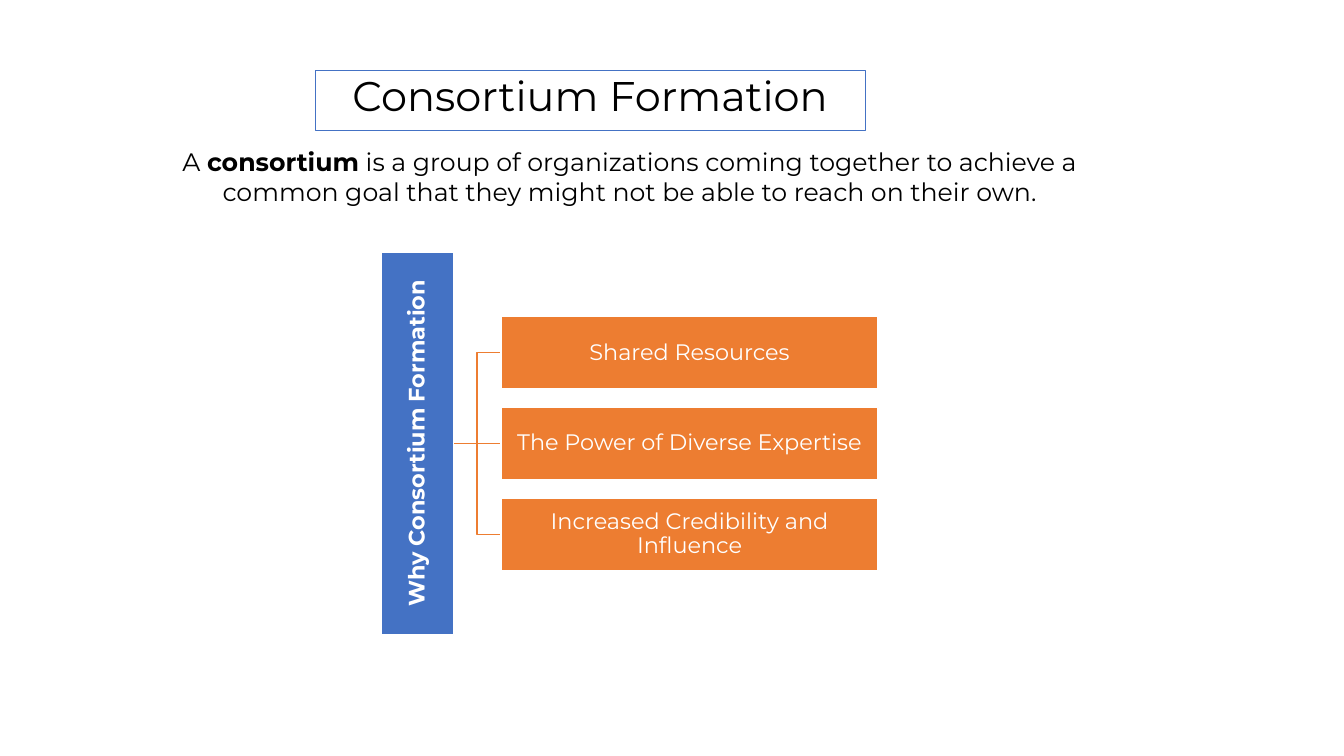
from pptx import Presentation
from pptx.dml.color import RGBColor
from pptx.enum.shapes import MSO_CONNECTOR, MSO_SHAPE
from pptx.enum.text import MSO_ANCHOR, PP_ALIGN
from pptx.oxml.ns import qn
from pptx.util import Pt
from lxml.etree import SubElement

PX = 9144
FONT = "Montserrat"
BLACK, WHITE, BLUE, ORANGE = "000000", "FFFFFF", "4472C4", "ED7D31"


def color(hex):
    return RGBColor.from_string(hex)


def write(shape, text, size=16, ink=WHITE, bold=False, space=None, after=0,
          pad=None, anchor=MSO_ANCHOR.TOP):
    frame = shape.text_frame
    frame.word_wrap = True
    frame.vertical_anchor = anchor
    if pad is not None:
        frame.margin_left = frame.margin_right = pad * PX
        frame.margin_top = frame.margin_bottom = pad * PX
    para = frame.paragraphs[0]
    para.alignment = PP_ALIGN.CENTER
    para.line_spacing = space
    para.space_after = Pt(after)
    for part, heavy in [(text, bold)] if isinstance(text, str) else text:
        run = para.add_run()
        run.text = part
        run.font.name = FONT
        run.font.size = Pt(size)
        run.font.bold = heavy
        run.font.color.rgb = color(ink)


class Deck:
    def __init__(self, wide, high):
        self.show = Presentation()
        self.show.slide_width = wide * PX
        self.show.slide_height = high * PX
        self.slide = self.show.slides.add_slide(self.show.slide_layouts[6])
        self.shapes = self.slide.shapes

    def text(self, x, y, w, h, text, **style):
        box = self.shapes.add_textbox(x * PX, y * PX, w * PX, h * PX)
        write(box, text, **style)

    def box(self, x, y, w, h, text, fill=None, line=WHITE, width=1, turn=0, **style):
        box = self.shapes.add_shape(MSO_SHAPE.RECTANGLE, x * PX, y * PX, w * PX, h * PX)
        box.shadow.inherit = False
        box.rotation = turn
        if fill:
            box.fill.solid()
            box.fill.fore_color.rgb = color(fill)
        else:
            box.fill.background()
        box.line.color.rgb = color(line)
        box.line.width = Pt(width)
        write(box, text, space=0.9, **style)

    def line(self, x, y, end, stop, ink):
        line = self.shapes.add_connector(
            MSO_CONNECTOR.STRAIGHT, x * PX, y * PX, end * PX, stop * PX)
        SubElement(line.line._get_or_add_ln().getparent(), qn("a:effectLst"))
        line.line.color.rgb = color(ink)
        line.line.width = Pt(1)

    def elbow(self, x, y, end, stop, ink):
        mid = (x + end) // 2
        pen = self.shapes.build_freeform(x, y, scale=PX)
        pen.add_line_segments([(mid, y), (mid, stop), (end, stop)], close=False)
        path = pen.convert_to_shape()
        path.shadow.inherit = False
        path.fill.background()
        path.line.color.rgb = color(ink)
        path.line.width = Pt(1)

    def save(self):
        self.show.save("out.pptx")


def main():
    deck = Deck(1333, 750)
    deck.box(313, 70, 545, 60, "Consortium Formation", line=BLUE, width=0.75,
             size=29.6, ink=BLACK)
    deck.text(140, 140, 969, 71, [
        ("A ", False), ("consortium", True),
        (" is a group of organizations coming together to achieve a common goal "
         "that they might not be able to reach on their own.", False),
    ], size=18, ink=BLACK)

    goals = ["Shared Resources", "The Power of Diverse Expertise",
             "Increased Credibility and Influence"]
    root, left, mid, step, high = 450, 497, 440, 90, 72
    rows = [mid + step * (i - 1) for i in range(len(goals))]
    for row in reversed(rows):
        draw = deck.line if row == mid else deck.elbow
        draw(root, mid, left, row, ORANGE)

    style = dict(pad=1, anchor=MSO_ANCHOR.MIDDLE)
    deck.box(224, mid - high // 2, 380, high, "Why Consortium Formation",
             fill=BLUE, turn=270, bold=True, **style)
    for row, goal in zip(rows, goals):
        deck.box(left, row - high // 2, 374, high, goal, fill=ORANGE, **style)
    deck.save()


if __name__ == "__main__":
    main()
